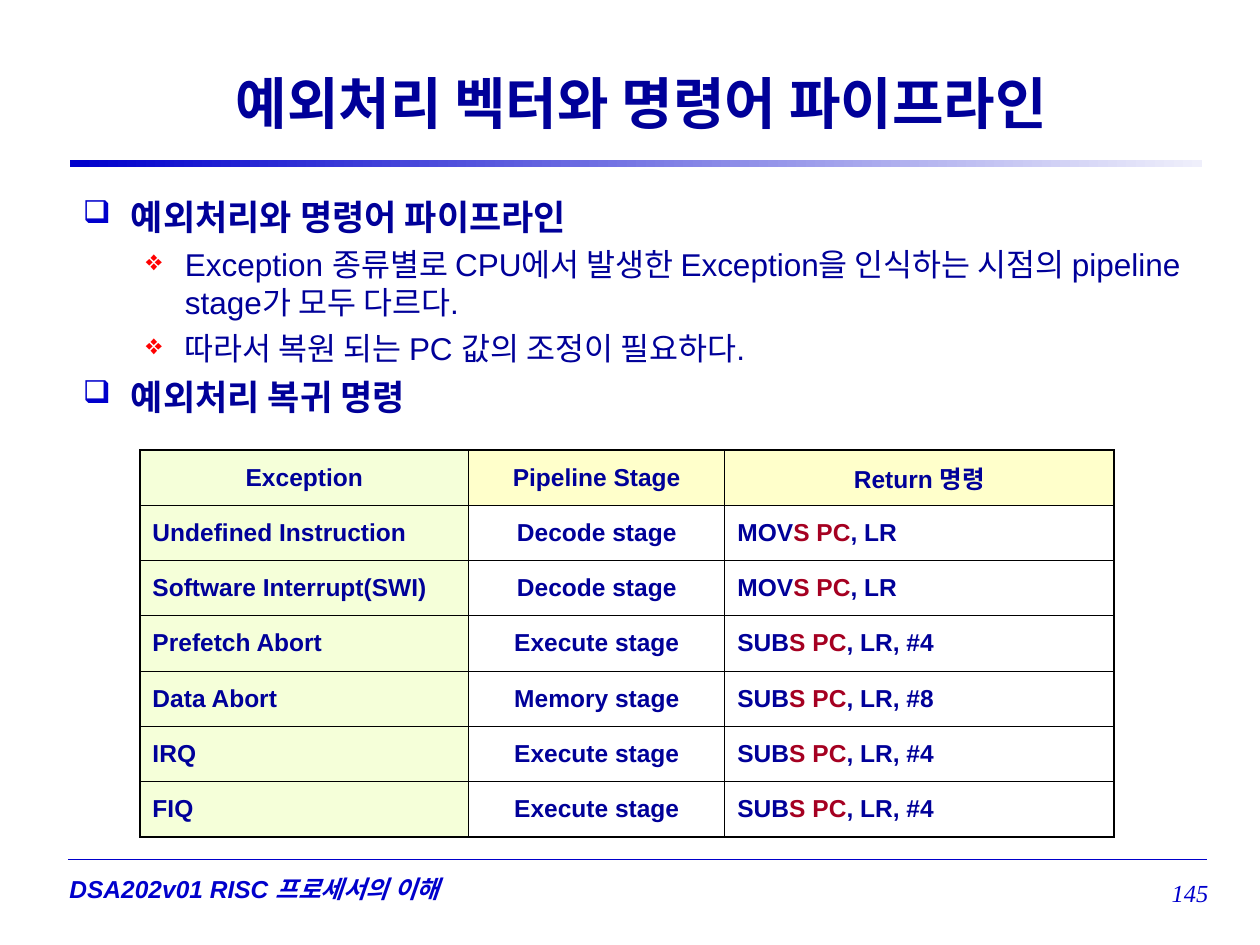
from dataclasses import dataclass

from lxml import etree
from pptx import Presentation
from pptx.dml.color import RGBColor
from pptx.enum.shapes import MSO_CONNECTOR, MSO_SHAPE
from pptx.enum.text import MSO_ANCHOR, PP_ALIGN
from pptx.oxml.ns import qn
from pptx.util import Cm, Pt

LEFT, CENTER, RIGHT = PP_ALIGN.LEFT, PP_ALIGN.CENTER, PP_ALIGN.RIGHT
TOP, MIDDLE = MSO_ANCHOR.TOP, MSO_ANCHOR.MIDDLE
RECTANGLE, STRAIGHT = MSO_SHAPE.RECTANGLE, MSO_CONNECTOR.STRAIGHT
NAVY, BLUE, PALE_BLUE = "000099", "0000CC", "EFEFFB"
RED, CRIMSON, BLACK = "FF0000", "A50021", "000000"
LIME, YELLOW = "ECFFB5", "FFFF99"
THICK, THIN = 1.08, 0.45
TABLE_HEIGHT = 7.8
COLUMN_WIDTHS = (6.63, 5.16, 7.85)


@dataclass(frozen=True)
class Font:
    """Look of a run of text."""
    size: float
    color: str = NAVY
    bold: bool = False
    italic: bool = False
    name: str = "Arial"


@dataclass(frozen=True)
class Level:
    """Look of one outline level, with indents in centimetres."""
    font: Font
    bullet: str
    bullet_color: str
    margin: float
    hanging: float
    space_before: float


@dataclass(frozen=True)
class ExceptionRow:
    """One exception with its pipeline stage and return instruction."""
    name: str
    stage: str
    opcode: str
    operands: str


TOPIC = Level(Font(20, bold=True), "❑", BLUE, 0.97, 0.97, 5)
DETAIL = Level(Font(18), "❖", RED, 2.06, 0.79, 4.5)
CELL = Font(14, bold=True)
CELL_MARK = Font(14, CRIMSON, bold=True)

OUTLINE = (
    (TOPIC, "예외처리와 명령어 파이프라인"),
    (DETAIL, "Exception 종류별로 CPU에서 발생한 Exception을 인식하는 시점의 "
             "pipeline stage가 모두 다르다."),
    (DETAIL, "따라서 복원 되는 PC 값의 조정이 필요하다."),
    (TOPIC, "예외처리 복귀 명령"),
)
HEADERS = ("Exception", "Pipeline Stage", "Return 명령")
EXCEPTIONS = (
    ExceptionRow("Undefined Instruction", "Decode stage", "MOV", ", LR"),
    ExceptionRow("Software Interrupt(SWI)", "Decode stage", "MOV", ", LR"),
    ExceptionRow("Prefetch Abort", "Execute stage", "SUB", ", LR, #4"),
    ExceptionRow("Data Abort", "Memory stage", "SUB", ", LR, #8"),
    ExceptionRow("IRQ", "Execute stage", "SUB", ", LR, #4"),
    ExceptionRow("FIQ", "Execute stage", "SUB", ", LR, #4"),
)


def rgb(value: str) -> RGBColor:
    """Turn a hex string into a colour."""
    return RGBColor.from_string(value)


def add_run(p, text: str, font: Font) -> None:
    """Append a formatted run to a paragraph."""
    r = p.add_run()
    r.text = text
    r.font.name, r.font.size = font.name, Pt(font.size)
    r.font.bold, r.font.italic = font.bold, font.italic
    r.font.color.rgb = rgb(font.color)


def add_text_frame(s, left: float, top: float, width: float, height: float,
                   inset: float = 0.25, anchor=MIDDLE):
    """Add a wrapping text box and return its text frame."""
    tf = s.shapes.add_textbox(Cm(left), Cm(top), Cm(width), Cm(height)).text_frame
    tf.word_wrap, tf.vertical_anchor = True, anchor
    tf.margin_left = tf.margin_right = Cm(inset)
    tf.margin_top = tf.margin_bottom = Cm(0.13)
    return tf


def add_label(tf, text: str, font: Font, align=LEFT) -> None:
    """Fill a text frame with a single line."""
    p = tf.paragraphs[0]
    p.alignment = align
    add_run(p, text, font)


def set_bullet(p, level: Level) -> None:
    """Give a paragraph the bullet and indents of its level."""
    pPr = p._p.get_or_add_pPr()
    pPr.set("marL", str(Cm(level.margin)))
    pPr.set("indent", str(-Cm(level.hanging)))
    color = etree.SubElement(pPr, qn("a:buClr"))
    etree.SubElement(color, qn("a:srgbClr"), val=level.bullet_color)
    etree.SubElement(pPr, qn("a:buSzPct"), val="90000")
    etree.SubElement(pPr, qn("a:buChar"), char=level.bullet)


def add_outline(s) -> None:
    """Add the bulleted body text."""
    tf = add_text_frame(s, 1.42, 3.81, 22.76, 13.13, anchor=TOP)
    for i, (level, text) in enumerate(OUTLINE):
        p = tf.add_paragraph() if i else tf.paragraphs[0]
        set_bullet(p, level)
        p.level = int(level is DETAIL)
        if i:
            p.space_before = Pt(level.space_before)
        add_run(p, text, level.font)


def add_rules(s) -> None:
    """Add the gradient bar under the title and the footer line."""
    bar = s.shapes.add_shape(RECTANGLE, Cm(1.42), Cm(3.23), Cm(22.81), Cm(0.13))
    bar.shadow.inherit = False
    bar.line.fill.background()
    bar.fill.gradient()
    bar.fill.gradient_angle = 180
    for stop, color in zip(bar.fill.gradient_stops, (PALE_BLUE, BLUE)):
        stop.color.rgb = rgb(color)
    line = s.shapes.add_connector(STRAIGHT, Cm(1.37), Cm(17.32), Cm(24.33), Cm(17.32))
    line.line.color.rgb, line.line.width = rgb(BLUE), Pt(0.75)
    etree.SubElement(line._element.spPr, qn("a:effectLst"))


def set_borders(cell, outer: dict[str, bool]) -> None:
    """Draw cell borders, thick on the outer sides."""
    tcPr = cell._tc.get_or_add_tcPr()
    for side, is_outer in outer.items():
        width = Pt(THICK if is_outer else THIN)
        ln = etree.SubElement(tcPr, qn(f"a:ln{side}"), w=str(width))
        fill = etree.SubElement(ln, qn("a:solidFill"))
        etree.SubElement(fill, qn("a:srgbClr"), val=BLACK)


def set_fill(cell, color: str | None) -> None:
    """Fill a cell with a half-transparent colour, or leave it clear."""
    if color is None:
        cell.fill.background()
        return
    cell.fill.solid()
    cell.fill.fore_color.rgb = rgb(color)
    clr = cell._tc.tcPr.find(qn("a:solidFill"))[0]
    etree.SubElement(clr, qn("a:alpha"), val="50000")


def add_exception_table(s) -> None:
    """Add the table of exceptions, stages and return instructions."""
    rows = [[((text, CELL),) for text in HEADERS]]
    rows += [[((e.name, CELL),), ((e.stage, CELL),),
              ((e.opcode, CELL), ("S PC", CELL_MARK), (e.operands, CELL))]
             for e in EXCEPTIONS]
    last_row, last_col = len(rows) - 1, len(HEADERS) - 1
    table = s.shapes.add_table(len(rows), len(HEADERS), Cm(2.82), Cm(9.07),
                               Cm(sum(COLUMN_WIDTHS)), Cm(TABLE_HEIGHT)).table
    table.first_row = table.horz_banding = False
    for column, width in zip(table.columns, COLUMN_WIDTHS):
        column.width = Cm(width)
    for i, row in enumerate(rows):
        table.rows[i].height = Cm(TABLE_HEIGHT / len(rows))
        for j, runs in enumerate(row):
            cell = table.cell(i, j)
            cell.vertical_anchor = MIDDLE
            set_borders(cell, {"L": j == 0, "R": j == last_col,
                               "T": i == 0, "B": i == last_row})
            set_fill(cell, LIME if j == 0 else YELLOW if i == 0 else None)
            p = cell.text_frame.paragraphs[0]
            p.alignment = CENTER if i == 0 or j == 1 else LEFT
            for text, font in runs:
                add_run(p, text, font)


def main() -> None:
    """Build the slide and save it."""
    prs = Presentation()
    prs.slide_width, prs.slide_height = Cm(25.4), Cm(19.05)
    s = prs.slides.add_slide(prs.slide_layouts[6])
    add_rules(s)
    add_label(add_text_frame(s, 1.35, 17.48, 9.83, 0.86, inset=0.05),
              "DSA202v01 RISC 프로세서의 이해", Font(14, BLUE, bold=True, italic=True))
    add_label(add_text_frame(s, 2.24, 0.79, 21.39, 2.54),
              "예외처리 벡터와 명령어 파이프라인", Font(32, bold=True), CENTER)
    add_outline(s)
    add_exception_table(s)
    add_label(add_text_frame(s, 22.02, 17.37, 2.34, 1.27, inset=0), "145",
              Font(14, BLUE, italic=True, name="Times New Roman"), RIGHT)
    prs.save("out.pptx")


if __name__ == "__main__":
    main()
